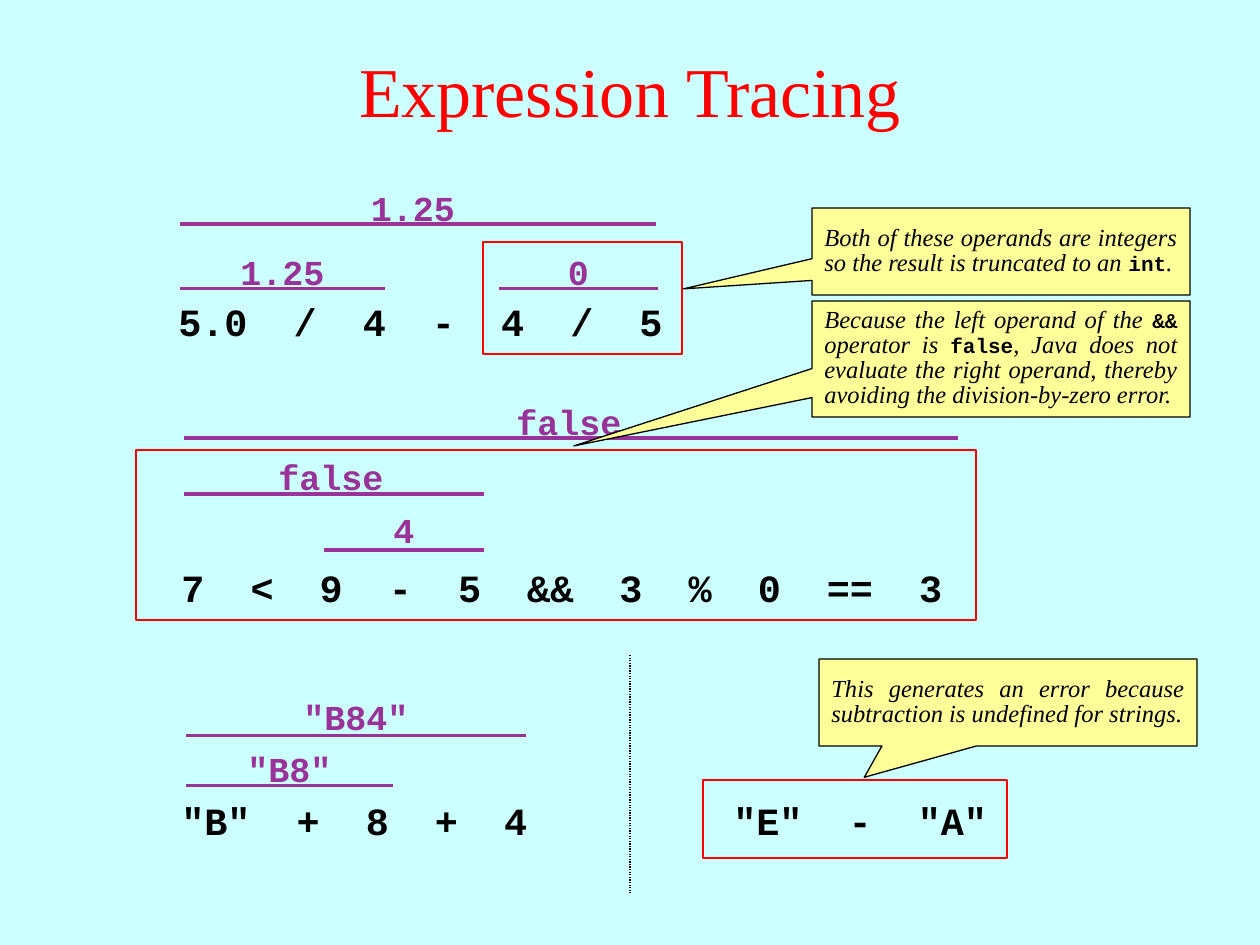
from dataclasses import dataclass

import pptx
import pptx.dml.color
import pptx.enum.dml
import pptx.enum.shapes
import pptx.enum.text
import pptx.oxml.ns
import pptx.util
from lxml import etree

PX_PER_INCH = 126
ALIGN = pptx.enum.text.PP_ALIGN
ANCHOR = pptx.enum.text.MSO_ANCHOR
SHAPE = pptx.enum.shapes.MSO_SHAPE


@dataclass(frozen=True)
class Theme:
    background: str = "CCFFFF"
    title: str = "FF0000"
    ink: str = "000000"
    result: str = "993399"
    note: str = "FFFF99"
    serif: str = "Times New Roman"
    mono: str = "Courier New"
    title_size: int = 40
    code_size: int = 22
    result_size: int = 20
    note_size: int = 14
    note_code_size: int = 12


@dataclass(frozen=True)
class Step:
    """A result above the line that spans its operands; rise and shift place the value."""
    value: str
    x: int
    y: int
    w: int
    rise: int = 45
    shift: int = 0


THEME = Theme()


def px(*lengths):
    return [pptx.util.Emu(round(n * 914400 / PX_PER_INCH)) for n in lengths]


def rgb(value):
    return pptx.dml.color.RGBColor.from_string(value)


def style(r, size, color, face, bold=False, italic=False):
    r.font.size = pptx.util.Pt(size)
    r.font.color.rgb = rgb(color)
    r.font.name = face
    r.font.bold = bold
    r.font.italic = italic


def add_text(s, box, text, size, color, face, align, bold=False, wrap=False):
    tf = s.shapes.add_textbox(*px(*box)).text_frame
    tf.word_wrap = wrap
    tf.text = text
    p = tf.paragraphs[0]
    p.alignment = align
    style(p.runs[0], size, color, face, bold)
    return tf


def add_line(s, x1, y1, x2, y2, color, width):
    line = s.shapes.add_connector(
        pptx.enum.shapes.MSO_CONNECTOR.STRAIGHT, *px(x1, y1, x2, y2))
    line.line.color.rgb = rgb(color)
    line.line.width = pptx.util.Pt(width)
    etree.SubElement(line._element.spPr, pptx.oxml.ns.qn("a:effectLst"))
    return line


def add_title(s, box, text):
    tf = add_text(s, box, text, THEME.title_size, THEME.title, THEME.serif,
                  ALIGN.CENTER, wrap=True)
    tf.vertical_anchor = ANCHOR.MIDDLE


def add_trace(s, box, code, steps=()):
    """Code along the bottom of the box, with its evaluation steps above."""
    left, top, width, height = box
    code_height, value_height = 59, 42
    add_text(s, (left, top + height - code_height, width, code_height), code,
             THEME.code_size, THEME.ink, THEME.mono, ALIGN.LEFT, bold=True)
    for step in steps:
        x, y = left + step.x, top + step.y
        add_text(s, (x + step.shift, y - step.rise, step.w, value_height), step.value,
                 THEME.result_size, THEME.result, THEME.mono, ALIGN.CENTER, bold=True)
        add_line(s, x, y, x + step.w, y, THEME.result, 1.75)


def add_highlight(s, box):
    sp = s.shapes.add_shape(SHAPE.RECTANGLE, *px(*box))
    sp.shadow.inherit = False
    sp.fill.background()
    sp.line.color.rgb = rgb(THEME.title)
    sp.line.width = pptx.util.Pt(1.5)


def add_callout(s, box, tail, parts):
    """Note whose tail is offset from its centre; every second part is code."""
    sp = s.shapes.add_shape(SHAPE.RECTANGULAR_CALLOUT, *px(*box))
    sp.shadow.inherit = False
    sp.adjustments[0], sp.adjustments[1] = tail
    sp.fill.solid()
    sp.fill.fore_color.rgb = rgb(THEME.note)
    sp.line.color.rgb = rgb(THEME.ink)
    sp.line.width = pptx.util.Pt(0.75)
    tf = sp.text_frame
    tf.word_wrap = True
    tf.vertical_anchor = ANCHOR.MIDDLE
    p = tf.paragraphs[0]
    p.alignment = ALIGN.JUSTIFY
    p.line_spacing = 0.85
    for i, part in enumerate(parts):
        r = p.add_run()
        r.text = part
        if i % 2:
            style(r, THEME.note_code_size, THEME.ink, THEME.mono, bold=True)
        else:
            style(r, THEME.note_size, THEME.ink, THEME.serif, italic=True)


def add_divider(s, x, top, bottom):
    line = add_line(s, x, top, x, bottom, THEME.ink, 0.75)
    line.line.dash_style = pptx.enum.dml.MSO_LINE.ROUND_DOT


def main():
    prs = pptx.Presentation()
    prs.slide_width, prs.slide_height = px(1260, 945)
    s = prs.slides.add_slide(prs.slide_layouts[6])
    s.background.fill.solid()
    s.background.fill.fore_color.rgb = rgb(THEME.background)

    add_title(s, (0, 10, 1260, 158), "Expression Tracing")
    add_trace(s, (166, 180, 520, 171), "5.0  /  4  -  4  /  5", [
        Step("1.25", 14, 109, 205),
        Step("0", 333, 109, 159),
        Step("1.25", 14, 44, 476, rise=44, shift=-5),
    ])
    add_trace(s, (169, 394, 800, 223), "7  <  9  -  5  &&  3  %  0  ==  3", [
        Step("4", 155, 156, 160, rise=48),
        Step("false", 15, 100, 300, shift=-3),
        Step("false", 15, 44, 774, rise=44, shift=-2),
    ])
    add_trace(s, (169, 689, 384, 161), '"B"  +  8  +  4', [
        Step('"B8"', 17, 97, 207),
        Step('"B84"', 17, 47, 340, rise=47),
    ])
    add_divider(s, 630, 655, 893)
    add_trace(s, (721, 791, 292, 59), '"E"  -  "A"')

    for box in ((483, 242, 199, 112), (136, 450, 840, 170), (703, 780, 304, 78)):
        add_highlight(s, box)
    add_callout(s, (812, 208, 378, 87), (-0.84, 0.43), [
        "Both of these operands are integers so the result is truncated to an ",
        "int", "."])
    add_callout(s, (812, 301, 378, 116), (-1.13, 0.75), [
        "Because the left operand of the ", "&&", " operator is ", "false",
        ", Java does not evaluate the right operand, thereby avoiding the "
        "division-by-zero error."])
    add_callout(s, (819, 659, 378, 87), (-0.38, 0.86), [
        "This generates an error because subtraction is undefined for strings."])
    prs.save("out.pptx")


if __name__ == "__main__":
    main()
